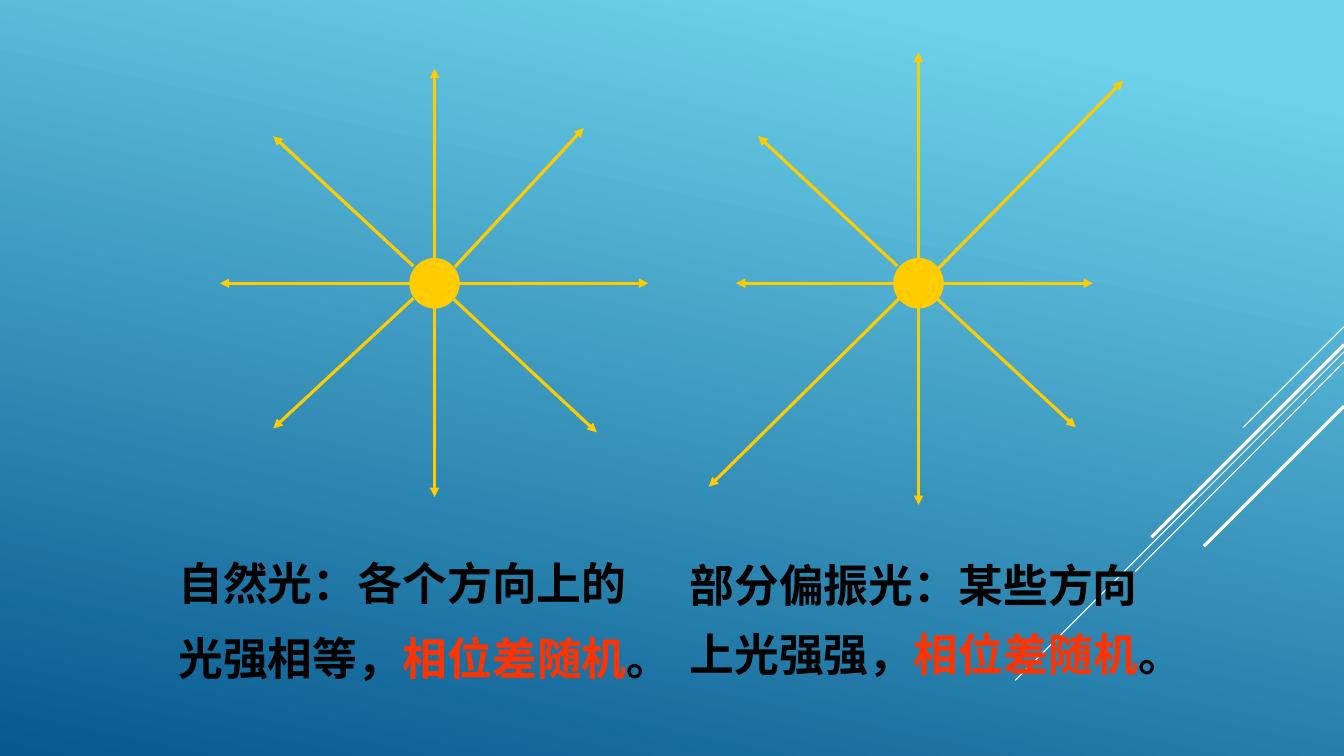
from pptx import Presentation
from pptx.dml.color import RGBColor
from pptx.enum.lang import MSO_LANGUAGE_ID
from pptx.enum.shapes import MSO_CONNECTOR, MSO_SHAPE
from pptx.enum.text import MSO_AUTO_SIZE
from pptx.oxml.ns import qn
from pptx.util import Inches, Pt
from lxml import etree

STRAIGHT = MSO_CONNECTOR.STRAIGHT
OVAL = MSO_SHAPE.OVAL
GROW = MSO_AUTO_SIZE.SHAPE_TO_FIT_TEXT
CHINESE = MSO_LANGUAGE_ID.SIMPLIFIED_CHINESE

SKY = RGBColor(0x6E, 0xD2, 0xEB)
DEEP = RGBColor(0x06, 0x58, 0x8E)
WHITE = RGBColor(0xFF, 0xFF, 0xFF)
GOLD = RGBColor(0xFF, 0xCC, 0x00)
BLACK = RGBColor(0, 0, 0)
RED = RGBColor(0xFF, 0x33, 0x00)

WIDTH, HEIGHT = 13.33, 7.5
SOURCE_Y, RADIUS = 2.81, 0.235
DIRECTIONS = [(0, -1), (1, 0), (0, 1), (-1, 0)]

STREAKS = [
    (3.24, 12.33, 4.24, 0.75),
    (3.49, 10.07, 6.75, 0.75),
    (3.59, 11.26, 5.67, 0.75),
    (3.42, 11.42, 5.33, 2.25),
    (4.03, 11.94, 5.42, 2.25),
]

LIGHTS = [
    {
        "x": 4.31,
        "reach": [2.13, 2.12, 2.12, 2.13],
        "diagonals": [
            (0.2, -0.16, 1.48, -1.54),
            (0.17, 0.14, 1.61, 1.48),
            (-0.21, 0.15, -1.6, 1.44),
            (-0.21, -0.17, -1.6, -1.46),
        ],
        "box": (1.67, 5.25, 5.16, 1.61),
        "spacing": 1.4,
        "caption": [
            [("自然光：各个方向上的", BLACK)],
            [("光强相等，", BLACK), ("相位差随机", RED), ("。", BLACK)],
        ],
    },
    {
        "x": 9.11,
        "reach": [2.29, 1.73, 2.2, 1.81],
        "diagonals": [
            (0.15, -0.1, 2.03, -2.01),
            (0.17, 0.14, 1.56, 1.43),
            (-0.18, 0.14, -2.08, 2.02),
            (-0.21, -0.17, -1.59, -1.46),
        ],
        "box": (6.74, 5.32, 5.16, 1.5),
        "spacing": 1.3,
        "caption": [
            [("部分偏振光：某些方向", BLACK)],
            [("上光强强，", BLACK), ("相位差随机", RED), ("。", BLACK)],
        ],
    },
]

prs = Presentation()
prs.slide_width, prs.slide_height = Inches(WIDTH), Inches(HEIGHT)
s = prs.slides.add_slide(prs.slide_layouts[6])

fill = s.background.fill
fill.gradient()
fill.gradient_angle = 360 - 102
for stop, color, position in zip(fill.gradient_stops, (SKY, DEEP), (0.1, 1)):
    stop.color.rgb = color
    stop.position = position


def add_line(x1, y1, x2, y2, color, weight, arrow=False):
    c = s.shapes.add_connector(STRAIGHT, *map(Inches, (x1, y1, x2, y2)))
    c.line.color.rgb = color
    c.line.width = Pt(weight)
    if arrow:
        etree.SubElement(c.line._get_or_add_ln(), qn("a:tailEnd"), type="triangle")
    etree.SubElement(c._element.spPr, qn("a:effectLst"))


def add_source(x):
    left, top, size = x - RADIUS, SOURCE_Y - RADIUS, 2 * RADIUS
    sp = s.shapes.add_shape(OVAL, *map(Inches, (left, top, size, size)))
    sp.shadow.inherit = False
    sp.fill.solid()
    sp.fill.fore_color.rgb = GOLD
    sp.line.color.rgb = GOLD
    sp.line.width = Pt(2.25)


def add_caption(box, spacing, lines):
    tf = s.shapes.add_textbox(*map(Inches, box)).text_frame
    tf.word_wrap = False
    tf.auto_size = GROW
    for i, line in enumerate(lines):
        p = tf.add_paragraph() if i else tf.paragraphs[0]
        p.line_spacing = spacing
        for text, color in line:
            r = p.add_run()
            r.text = text
            r.font.name = "Times New Roman"
            r.font.size = Pt(32)
            r.font.bold = True
            r.font.color.rgb = color
            r.font.language_id = CHINESE


for y1, x2, y2, weight in STREAKS:
    add_line(WIDTH, y1, x2, y2, WHITE, weight)

for light in LIGHTS:
    x = light["x"]
    add_source(x)
    axes = [
        (dx * RADIUS, dy * RADIUS, dx * reach, dy * reach)
        for (dx, dy), reach in zip(DIRECTIONS, light["reach"])
    ]
    for x1, y1, x2, y2 in axes + light["diagonals"]:
        add_line(x + x1, SOURCE_Y + y1, x + x2, SOURCE_Y + y2, GOLD, 2.25, arrow=True)
    add_caption(light["box"], light["spacing"], light["caption"])

prs.save("out.pptx")
